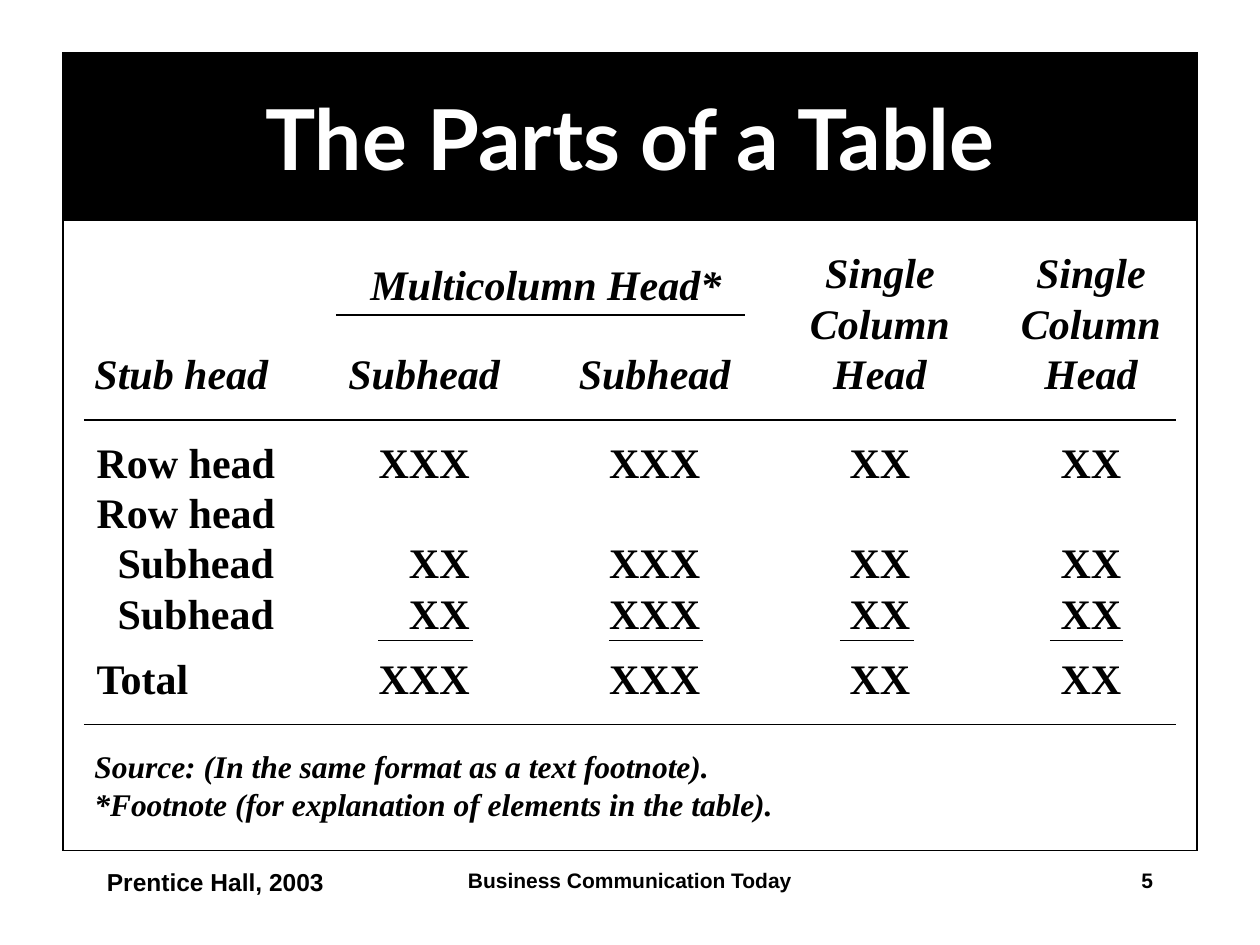
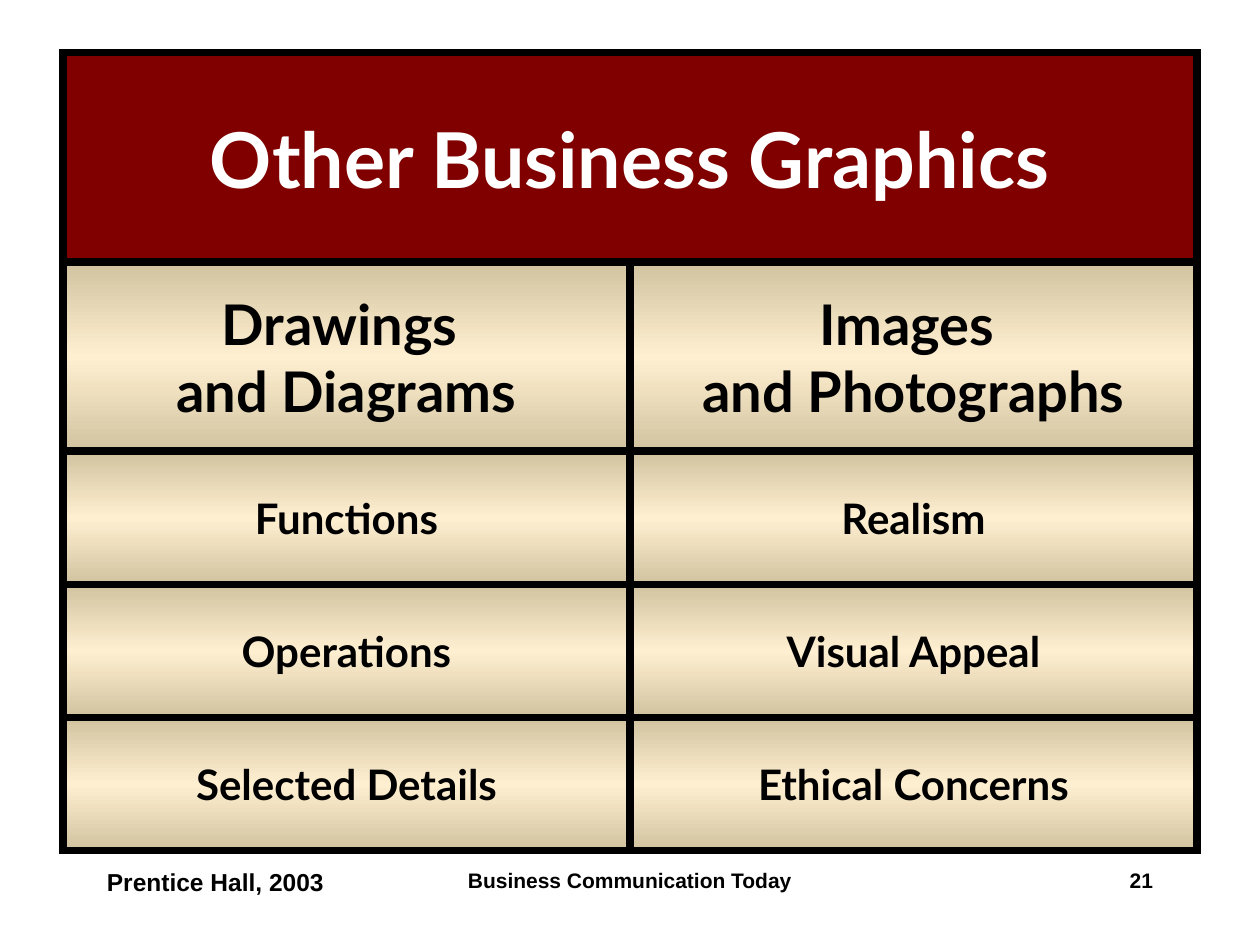
from copy import deepcopy
from dataclasses import dataclass

from lxml import etree
from pptx import Presentation
from pptx import util as u
from pptx.dml.color import RGBColor
from pptx.enum import shapes, text
from pptx.oxml.ns import qn

LEFT, CENTER, RIGHT = text.PP_ALIGN.LEFT, text.PP_ALIGN.CENTER, text.PP_ALIGN.RIGHT
MIDDLE, BOTTOM = text.MSO_ANCHOR.MIDDLE, text.MSO_ANCHOR.BOTTOM


@dataclass(frozen=True)
class Theme:
    """Colours, fonts and type sizes shared by the slides."""
    ink: str = "000000"
    paper: str = "FFFFFF"
    accent: str = "800000"
    sand: tuple = ("D1C39F", "FFEFD1", "D1C39F")
    display: str = "Lato"
    serif: str = "Times New Roman"
    sans: str = "Arial"
    title: int = 48
    panel_title: int = 44
    heading: int = 32
    body: int = 24
    note: int = 18
    credit: int = 14
    footer: int = 12
    hairline: float = 0.75
    rule: float = 1
    border: float = 4.5


T = Theme()


def cells(n):
    """Convert grid cells to a length; the slide is 120 by 90 cells."""
    return u.Emu(round(n * u.Inches(1) / 12))


@dataclass(frozen=True)
class Box:
    """A rectangle in grid cells."""
    x: float
    y: float
    w: float
    h: float

    def sub(self, x, y, w, h):
        """Return a box offset from this one's corner."""
        return Box(self.x + x, self.y + y, w, h)

    def place(self):
        """Return left, top, width and height as lengths."""
        return [cells(n) for n in (self.x, self.y, self.w, self.h)]


TITLE = Box(6, 5, 108, 16)
TABLE_PANEL = Box(6, 21, 108, 60)
PANEL_TITLE = Box(6, 5, 108, 20)
TOPICS = Box(6, 25, 108, 56)
FOOTER = Box(9, 82, 102, 6)


def write(tf, words, size=T.body, font=T.serif, color=T.ink, align=LEFT,
          bold=True, italic=False, wrap=True, anchor=None, spacing=None):
    """Write one formatted paragraph per line into a text frame."""
    tf.word_wrap = wrap
    if anchor is not None:
        tf.vertical_anchor = anchor
    for i, line in enumerate(words.split("\n")):
        p = tf.add_paragraph() if i else tf.paragraphs[0]
        p.alignment, p.line_spacing = align, spacing
        r = p.add_run()
        r.text = line
        r.font.size, r.font.name = u.Pt(size), font
        r.font.bold, r.font.italic = bold, italic
        r.font.color.rgb = RGBColor.from_string(color)


def add_text(s, box, words, **fmt):
    """Add a text box."""
    write(s.shapes.add_textbox(*box.place()).text_frame, words, **fmt)


def style(sp, fill, width):
    """Give a shape a solid fill, or a gradient for several colours, and an outline."""
    if isinstance(fill, str):
        sp.fill.solid()
        sp.fill.fore_color.rgb = RGBColor.from_string(fill)
    else:
        sp.fill.gradient()
        sp.fill.gradient_angle = 90
        stops = sp._element.spPr.find(".//" + qn("a:gsLst"))
        while len(stops) < len(fill):
            stops.append(deepcopy(stops[0]))
        for i, (stop, color) in enumerate(zip(sp.fill.gradient_stops, fill)):
            stop.position = i / (len(fill) - 1)
            stop.color.rgb = RGBColor.from_string(color)
    sp.line.color.rgb = RGBColor.from_string(T.ink)
    sp.line.width = u.Pt(width)
    etree.SubElement(sp._element.spPr.find(qn("a:ln")), qn("a:miter"), lim="800000")
    sp.shadow.inherit = False


def add_panel(s, box, fill, width):
    """Add an outlined rectangle."""
    sp = s.shapes.add_shape(shapes.MSO_SHAPE.RECTANGLE, *box.place())
    style(sp, fill, width)
    return sp


def add_rule(s, box, x1, x2, y, width=T.rule):
    """Add a horizontal rule inside a box."""
    start, end, top = cells(box.x + x1), cells(box.x + x2), cells(box.y + y)
    c = s.shapes.add_connector(shapes.MSO_CONNECTOR.STRAIGHT, start, top, end, top)
    c.line.color.rgb = RGBColor.from_string(T.ink)
    c.line.width = u.Pt(width)
    etree.SubElement(c._element.spPr, qn("a:effectLst"))


def add_title(s, box, words, fill, size, width):
    """Format the title placeholder as a band."""
    sp = s.shapes.title
    sp.left, sp.top, sp.width, sp.height = box.place()
    style(sp, fill, width)
    sp.text_frame.auto_size = text.MSO_AUTO_SIZE.NONE
    write(sp.text_frame, words, size=size, font=T.display, color=T.paper,
          align=CENTER, anchor=MIDDLE)


def add_footer(s, box, number):
    """Add the running title, slide number and credit."""
    add_text(s, box.sub(32, 0, 38, box.h), "Business Communication Today",
             size=T.footer, font=T.sans, align=CENTER)
    add_text(s, box.sub(77, 0, 25, box.h), str(number),
             size=T.footer, font=T.sans, align=RIGHT)
    add_text(s, box.sub(0, 0, 25, box.h), "Prentice Hall, 2003",
             size=T.credit, font=T.sans)


def fill_cell(cell, words, left=0, right=0, bottom=0, **fmt):
    """Write a table cell, anchored at its foot."""
    cell.margin_left, cell.margin_right = cells(left), cells(right)
    cell.margin_bottom = cells(bottom)
    write(cell.text_frame, words, **fmt)


def add_parts_table(s, box):
    """Add the sample table with its heads, rows and totals."""
    widths = [21.6, 21.6, 22.3, 20.6, 19.6]
    heights = [17.2, 6.4, 4.8, 4.8, 4.8, 6.2]
    grid = box.sub(2, 1.8, sum(widths), sum(heights))
    table = s.shapes.add_table(len(heights), len(widths), *grid.place()).table
    table.first_row = table.horz_banding = False
    for column, w in zip(table.columns, widths):
        column.width = cells(w)
    for row, h in zip(table.rows, heights):
        row.height = cells(h)
    for cell in table.iter_cells():
        cell.fill.background()
        cell.vertical_anchor = BOTTOM
        cell.margin_left = cell.margin_right = cell.margin_top = cell.margin_bottom = 0

    single = "Single\nColumn\nHead"
    fill_cell(table.cell(0, 0), "Stub head", left=1, bottom=2, italic=True)
    for col, head in enumerate(["Subhead", "Subhead", single, single], start=1):
        fill_cell(table.cell(0, col), head, bottom=2, align=CENTER, italic=True,
                  spacing=1.09 if head == single else None)

    full = ["XXX", "XXX", "XX", "XX"]
    short = ["XX", "XXX", "XX", "XX"]
    rows = [("Row head", full), ("Row head", []), ("Subhead", short),
            ("Subhead", short), ("Total", full)]
    for row, (head, values) in enumerate(rows, start=1):
        fill_cell(table.cell(row, 0), head, left=3.2 if head == "Subhead" else 1.2)
        for col, value in enumerate(values, start=1):
            margin = widths[col] / 2 - 1.44 * len(full[col - 1])
            fill_cell(table.cell(row, col), value, right=margin, align=RIGHT)


def table_slide(prs, number):
    """Build the slide that names the parts of a table."""
    s = prs.slides.add_slide(prs.slide_layouts[5])
    box = TABLE_PANEL
    add_panel(s, box, T.paper, T.hairline)
    add_title(s, TITLE, "The Parts of a Table", T.ink, T.title, T.hairline)
    add_parts_table(s, box)
    add_text(s, box.sub(28, 3, 36, 6), "Multicolumn Head*",
             align=CENTER, italic=True, wrap=False)
    add_rule(s, box, 26, 65, 9, T.hairline)
    for y in (19, 48):
        add_rule(s, box, 2, 106, y)
    for x, w in ((30, 9), (52, 9), (74, 7), (94, 7)):
        add_rule(s, box, x, x + w, 40)
    add_text(s, box.sub(1.8, 49.6, 80, 8.4),
             "Source: (In the same format as a text footnote).\n"
             "*Footnote (for explanation of elements in the table).",
             size=T.note, italic=True)
    add_footer(s, FOOTER, number)


def add_topics(s, box, columns):
    """Add columns of panels, each a heading above equal rows."""
    w, head_h = box.w / len(columns), 18
    for col, (heading, topics) in enumerate(columns.items()):
        row_h = (box.h - head_h) / len(topics)
        panels = [(heading, 0, head_h, T.heading)]
        panels += [(topic, head_h + i * row_h, row_h, T.body)
                   for i, topic in enumerate(topics)]
        for words, y, h, size in panels:
            sp = add_panel(s, box.sub(col * w, y, w, h), T.sand, T.border)
            write(sp.text_frame, words, size=size, font=T.display,
                  align=CENTER, wrap=False, anchor=MIDDLE)


def topics_slide(prs, number):
    """Build the slide on other business graphics."""
    s = prs.slides.add_slide(prs.slide_layouts[5])
    add_title(s, PANEL_TITLE, "Other Business Graphics", T.accent, T.panel_title, T.border)
    add_topics(s, TOPICS, {
        "Drawings \nand Diagrams": ["Functions", "Operations", "Selected Details"],
        "Images \nand Photographs": ["Realism", "Visual Appeal", "Ethical Concerns"],
    })
    add_footer(s, FOOTER, number)


def main():
    """Build and save the presentation."""
    prs = Presentation()
    prs.slide_width, prs.slide_height = cells(120), cells(90)
    table_slide(prs, 5)
    topics_slide(prs, 21)
    prs.save("out.pptx")


if __name__ == "__main__":
    main()
